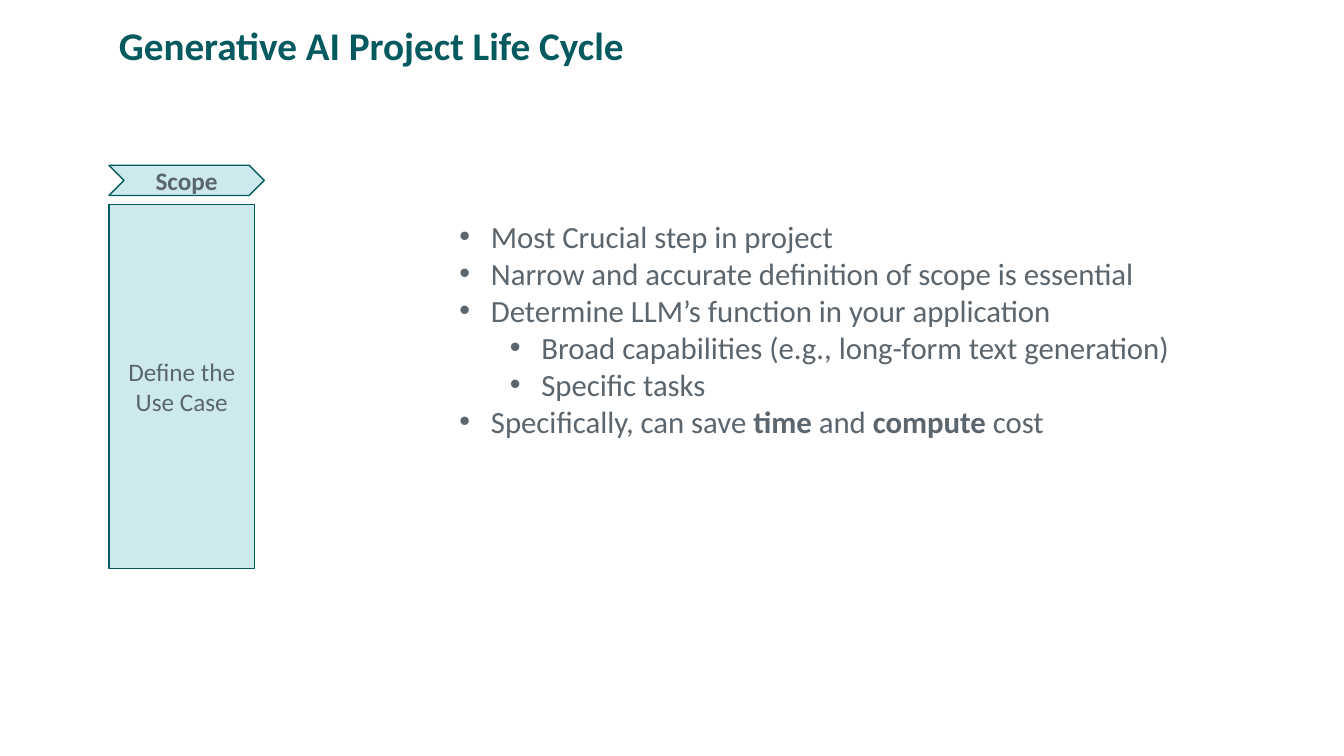
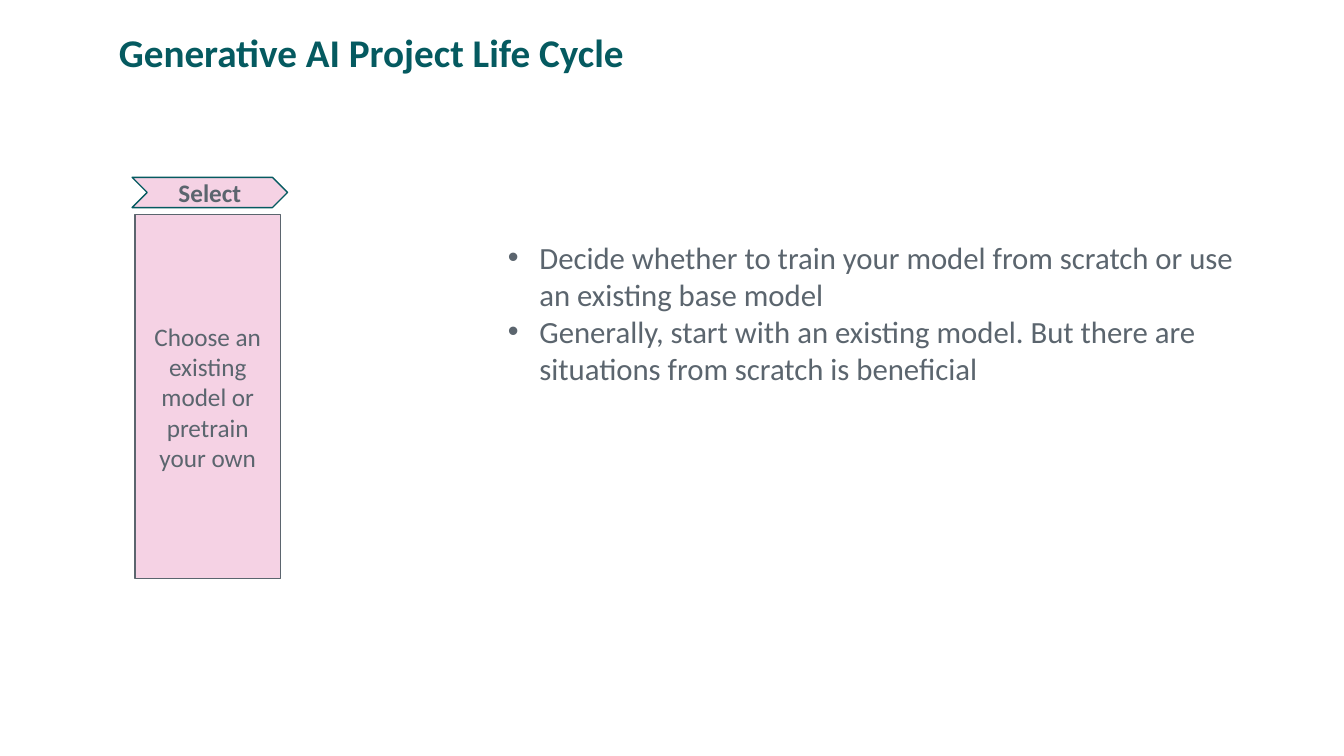
from lxml import etree
from pptx import Presentation
from pptx.dml.color import RGBColor
from pptx.enum import shapes, text
from pptx.oxml import ns
from pptx.util import Pt

TEAL, GRAY = "055A60", "5B656E"
AQUA, PINK = "CCEAEE", "F5D2E4"


def color(hex_string):
    return RGBColor.from_string(hex_string)


class Deck:
    """Holds the shared style and the slide being built."""

    font = "Calibri"
    title_size, bullet_size, stage_size = 28, 22, 18
    bullet_hang, level_step = 22.5, 36

    def __init__(self):
        self.presentation = Presentation()
        self.presentation.slide_width = Pt(960)
        self.presentation.slide_height = Pt(540)
        self.slide = None

    def new_slide(self):
        self.slide = self.presentation.slides.add_slide(
            self.presentation.slide_layouts[6])

    def add_run(self, paragraph, words, size, hue=GRAY, bold=False):
        run = paragraph.add_run()
        run.text = words
        run.font.name = self.font
        run.font.size = Pt(size)
        run.font.bold = bold
        run.font.color.rgb = color(hue)

    def text_frame(self, left, top, width, height):
        """Add a wrapping text box and return its frame."""
        box = self.slide.shapes.add_textbox(
            Pt(left), Pt(top), Pt(width), Pt(height))
        frame = box.text_frame
        frame.word_wrap = True
        frame.auto_size = text.MSO_AUTO_SIZE.SHAPE_TO_FIT_TEXT
        return frame

    def title(self, words, top):
        frame = self.text_frame(77.8, top, 411, 41)
        self.add_run(frame.paragraphs[0], words, self.title_size, TEAL, True)

    def stage_shape(self, group, kind, box, words, fill, line, bold=False):
        """Add one outlined shape with centred text to a group."""
        shape = group.shapes.add_shape(kind, *map(Pt, box))
        shape.shadow.inherit = False
        shape.fill.solid()
        shape.fill.fore_color.rgb = color(fill)
        shape.line.color.rgb = color(line)
        shape.line.width = Pt(1)
        frame = shape.text_frame
        frame.word_wrap = True
        frame.vertical_anchor = text.MSO_ANCHOR.MIDDLE
        paragraph = frame.paragraphs[0]
        paragraph.alignment = text.PP_ALIGN.CENTER
        self.add_run(paragraph, words, self.stage_size, bold=bold)

    def stage(self, name, task, panel_at, chevron_at, fill, panel_line):
        """Add a life cycle stage: a task panel under a named chevron."""
        group = self.slide.shapes.add_group_shape()
        kinds = shapes.MSO_SHAPE
        self.stage_shape(group, kinds.RECTANGLE, (*panel_at, 104, 260),
                         task, fill, panel_line)
        self.stage_shape(group, kinds.CHEVRON, (*chevron_at, 111, 21.6),
                         name, fill, TEAL, bold=True)

    def bullets(self, left, top, height, items):
        """Add bullets given as (level, [(words, bold), ...])."""
        frame = self.text_frame(left, top, 533.5, height)
        for index, (level, runs) in enumerate(items):
            paragraph = frame.add_paragraph() if index else frame.paragraphs[0]
            paragraph.level = level
            properties = paragraph._p.get_or_add_pPr()
            indent = self.bullet_hang + level * self.level_step
            properties.set("marL", str(Pt(indent)))
            properties.set("indent", str(-Pt(self.bullet_hang)))
            etree.SubElement(properties, ns.qn("a:buFont"), typeface="Arial")
            etree.SubElement(properties, ns.qn("a:buChar"), char="•")
            for words, bold in runs:
                self.add_run(paragraph, words, self.bullet_size, bold=bold)


def plain(words, level=0):
    return level, [(words, False)]


def main():
    deck = Deck()
    heading = "Generative AI Project Life Cycle"

    deck.new_slide()
    deck.stage("Scope", "Define the Use Case",
               (77.8, 146.2), (77.8, 118.1), AQUA, TEAL)
    deck.title(heading, 11.5)
    deck.bullets(321.1, 151.9, 189.4, [
        plain("Most Crucial step in project"),
        plain("Narrow and accurate definition of scope is essential"),
        plain("Determine LLM’s function in your application"),
        plain("Broad capabilities (e.g., long-form text generation)", 1),
        plain("Specific tasks", 1),
        (0, [("Specifically, can save ", False), ("time", True),
             (" and ", False), ("compute", True), (" cost", False)]),
    ])

    deck.new_slide()
    deck.stage("Select", "Choose an existing model or pretrain your own",
               (96.4, 153.4), (94.4, 126.7), PINK, GRAY)
    deck.title(heading, 16.5)
    deck.bullets(355.7, 167, 157.7, [
        plain("Decide whether to train your model from scratch or use "
              "an existing base model"),
        plain("Generally, start with an existing model. But there are "
              "situations from scratch is beneficial"),
    ])

    deck.presentation.save("out.pptx")


if __name__ == "__main__":
    main()
